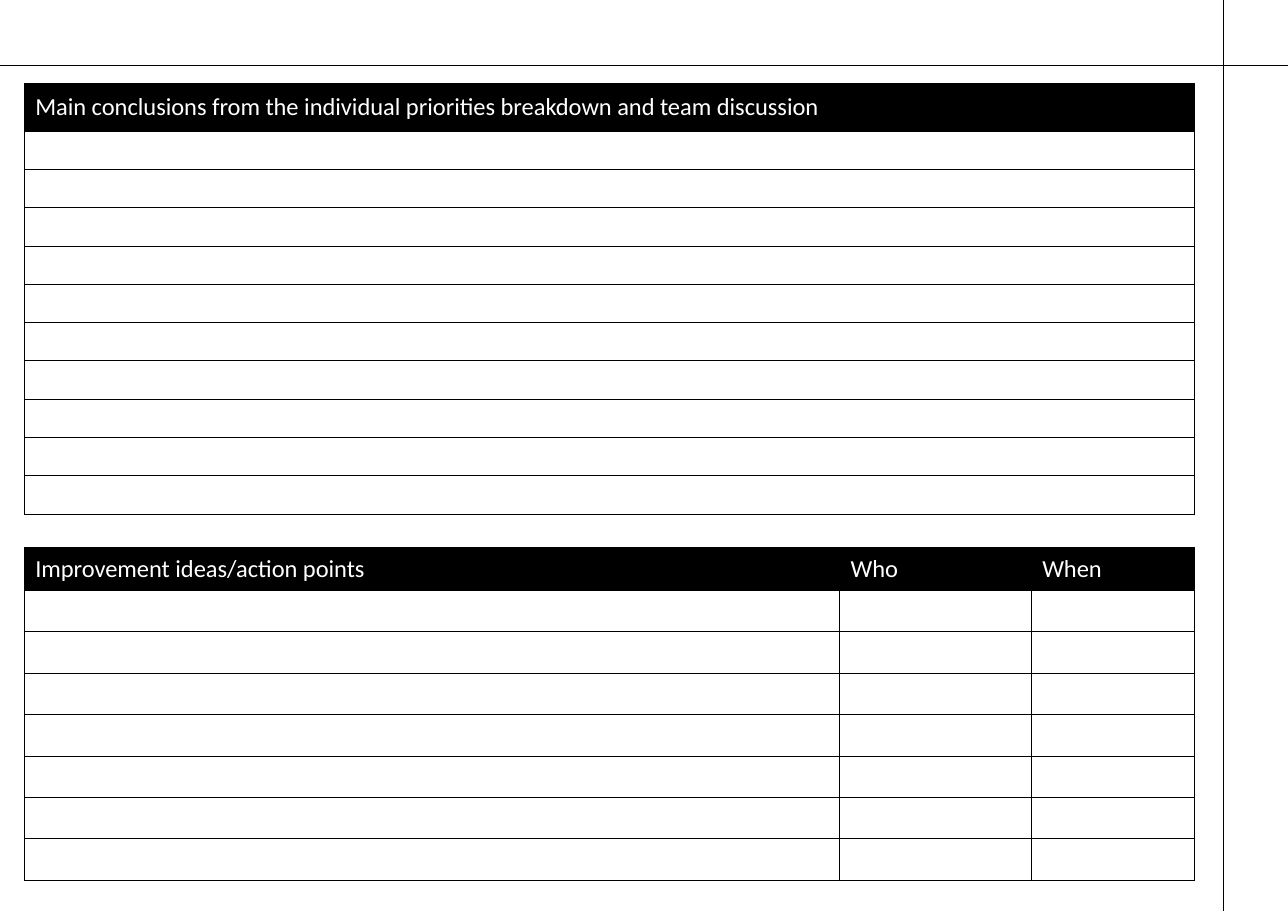
from lxml import etree
from pptx import Presentation
from pptx.dml.color import RGBColor
from pptx.enum import shapes, text
from pptx.oxml import ns
from pptx.util import Inches, Pt

BLACK, WHITE = "000000", "FFFFFF"
LINE_WIDTH = Pt(0.5)


def rgb(value):
    """Turn a hex string into a colour."""
    return RGBColor.from_string(value)


def set_borders(cell):
    """Draw a thin black border on all four sides of a cell."""
    tcPr = cell._tc.get_or_add_tcPr()
    for side in ("a:lnL", "a:lnR", "a:lnT", "a:lnB"):
        ln = etree.SubElement(tcPr, ns.qn(side), w=str(LINE_WIDTH))
        fill = etree.SubElement(ln, ns.qn("a:solidFill"))
        etree.SubElement(fill, ns.qn("a:srgbClr"), val=BLACK)


def add_rule(s, x1, y1, x2, y2):
    """Add a thin black line between two points."""
    rule = s.shapes.add_connector(
        shapes.MSO_CONNECTOR.STRAIGHT, Inches(x1), Inches(y1), Inches(x2), Inches(y2))
    rule.line.color.rgb = rgb(BLACK)
    rule.line.width = LINE_WIDTH
    etree.SubElement(rule._element.spPr, ns.qn("a:effectLst"))


def add_form(s, left, top, width, height, headings, col_widths, blank_rows, head_height):
    """Add a table with a black heading row above equal blank rows."""
    table = s.shapes.add_table(
        blank_rows + 1, len(headings),
        Inches(left), Inches(top), Inches(width), Inches(height)).table
    table.first_row = table.horz_banding = False
    for column, col_width in zip(table.columns, col_widths):
        column.width = Inches(col_width)
    for i, row in enumerate(table.rows):
        row.height = Inches(head_height if i == 0 else (height - head_height) / blank_rows)
        for cell, heading in zip(row.cells, headings):
            set_borders(cell)
            cell.fill.solid()
            cell.fill.fore_color.rgb = rgb(WHITE if i else BLACK)
            cell.vertical_anchor = text.MSO_ANCHOR.MIDDLE
            p = cell.text_frame.paragraphs[0]
            if i == 0:
                p.text = heading
            p.font.name = "Calibri"
            p.font.size = Pt(10 if i else 16)
            p.font.color.rgb = rgb(BLACK if i else WHITE)


def main():
    """Build the team conclusions and action points form."""
    prs = Presentation()
    prs.slide_width, prs.slide_height = Inches(11.69), Inches(8.27)
    s = prs.slides.add_slide(prs.slide_layouts[6])
    add_rule(s, 11.1, 8.27, 11.1, 0)
    add_rule(s, 11.69, 0.59, 0, 0.59)
    add_form(s, 0.22, 0.76, 10.62, 3.91,
             ["Main conclusions from the individual priorities breakdown and team discussion"],
             [10.62], 10, 0.43)
    add_form(s, 0.22, 4.97, 10.62, 3.02,
             ["Improvement ideas/action points", "Who", "When"],
             [7.4, 1.74, 1.48], 7, 0.39)
    prs.save("out.pptx")


if __name__ == "__main__":
    main()
